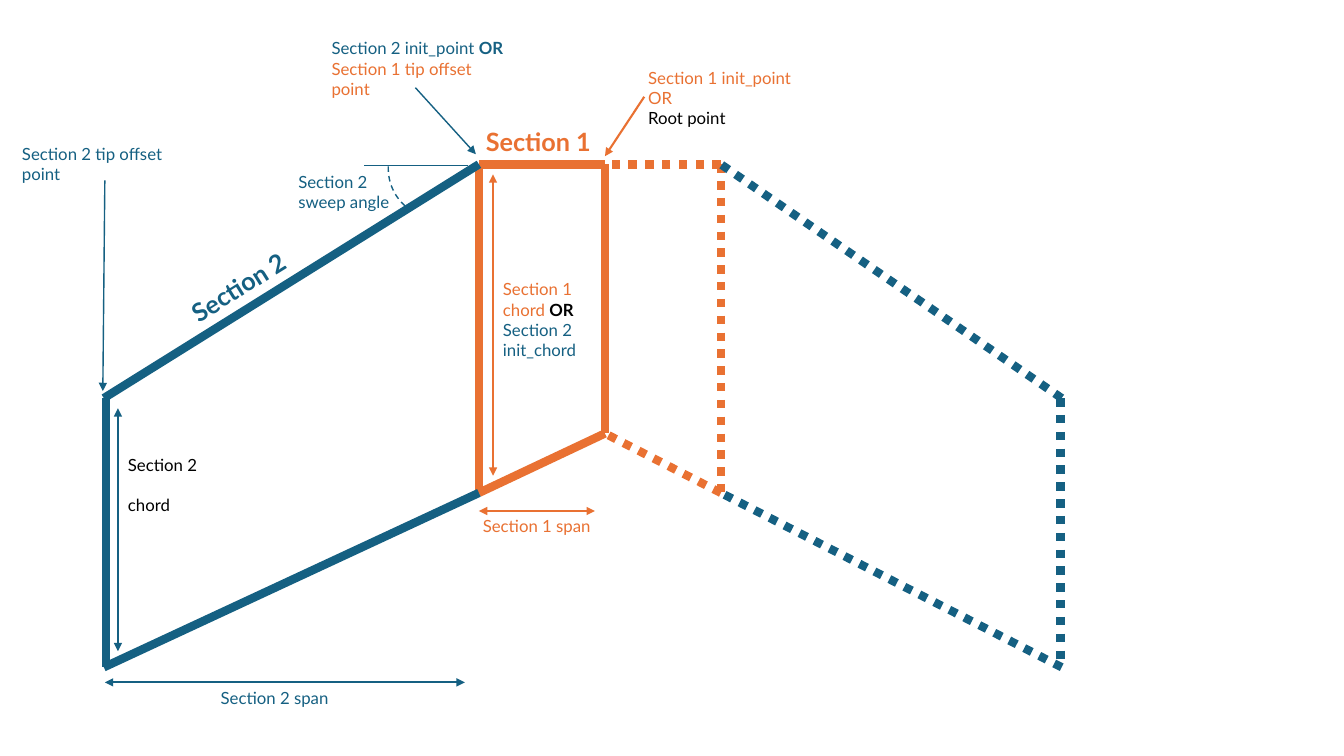
from copy import deepcopy

from lxml.etree import SubElement
from pptx import Presentation
from pptx.dml.color import RGBColor
from pptx.enum.dml import MSO_LINE
from pptx.enum.shapes import MSO_CONNECTOR, MSO_SHAPE
from pptx.oxml.ns import qn
from pptx.util import Inches, Pt

ORANGE = RGBColor(0xE9, 0x71, 0x32)
BLUE = RGBColor(0x15, 0x60, 0x82)
BLACK = RGBColor(0, 0, 0)
FONT = "Lato"

# Wing outline, in inches
ROOT_X, KINK_X, TIP_X = 6, 4.75, 1.03
LEADING_Y, ROOT_TRAILING_Y, KINK_TRAILING_Y = 1.63, 4.3, 4.89
TIP_LEADING_Y, TIP_TRAILING_Y = 3.95, 6.62


def add_line(slide, start, end, color, width, dash=None, arrows=()):
    """Draw a straight line; arrows holds any of headEnd and tailEnd."""
    points = [Inches(value) for value in (*start, *end)]
    connector = slide.shapes.add_connector(MSO_CONNECTOR.STRAIGHT, *points)
    connector.line.color.rgb = color
    connector.line.width = Pt(width)
    if dash:
        connector.line.dash_style = dash
    line_xml = connector.line._get_or_add_ln()
    for arrow in arrows:
        SubElement(line_xml, qn(f"a:{arrow}"), type="triangle")
    SubElement(connector._element.spPr, qn("a:effectLst"))


def add_dimension(slide, start, end, color):
    add_line(slide, start, end, color, 1.5, arrows=("headEnd", "tailEnd"))


def add_pointer(slide, start, end, color, width=1):
    add_line(slide, start, end, color, width, arrows=("tailEnd",))


def add_label(slide, box, paragraphs, size=12, rotation=0):
    """Write paragraphs of (text, color, bold) runs; a newline is a line break."""
    shape = slide.shapes.add_textbox(*[Inches(value) for value in box])
    shape.rotation = rotation
    text_frame = shape.text_frame
    text_frame.word_wrap = True
    for index, runs in enumerate(paragraphs):
        paragraph = text_frame.paragraphs[0] if index == 0 else text_frame.add_paragraph()
        for text, color, bold in runs:
            for number, line in enumerate(text.split("\n")):
                if number:
                    paragraph.add_line_break()
                    # The break takes the format of the run before it
                    line_break = paragraph._p[-1]
                    line_break.append(deepcopy(run.font._element))
                if not line:
                    continue
                run = paragraph.add_run()
                run.text = line
                run.font.name = FONT
                run.font.size = Pt(size)
                run.font.bold = bold
                run.font.color.rgb = color


def add_half_wing(slide, kink_x, tip_x, tip_edge_x, dash=None):
    """Draw one side of the wing: section 1 from root to kink, section 2 to tip."""
    root_leading, root_trailing = (ROOT_X, LEADING_Y), (ROOT_X, ROOT_TRAILING_Y)
    kink_leading, kink_trailing = (kink_x, LEADING_Y), (kink_x, KINK_TRAILING_Y)
    edges = [
        (root_leading, root_trailing, ORANGE),
        (kink_leading, kink_trailing, ORANGE),
        ((tip_edge_x, TIP_LEADING_Y), (tip_edge_x, TIP_TRAILING_Y), BLUE),
        (kink_leading, root_leading, ORANGE),
        (kink_trailing, root_trailing, ORANGE),
        ((tip_x, TIP_TRAILING_Y), kink_trailing, BLUE),
        ((tip_x, TIP_LEADING_Y), kink_leading, BLUE),
    ]
    for start, end, color in edges:
        add_line(slide, start, end, color, 6, dash)


def add_section_names(slide):
    add_label(slide, (4.72, 1.2, 1.27, 0.4), [[("Section 1", ORANGE, True)]], 18)
    add_label(slide, (1.74, 2.64, 1.27, 0.4), [[("Section 2", BLUE, True)]], 18, 328)


def add_spans(slide):
    for text, left, right, y, label_x, color in [
        ("Section 1 span", 4.75, 5.9, 5.07, 4.69, ORANGE),
        ("Section 2 span", 1.04, 4.61, 6.77, 2.09, BLUE),
    ]:
        add_dimension(slide, (left, y), (right, y), color)
        add_label(slide, (label_x, y, 1.27, 0.3), [[(text, color, False)]])


def add_chords(slide):
    add_dimension(slide, (4.89, 1.73), (4.89, 4.72), ORANGE)
    add_label(slide, (4.89, 2.72, 0.93, 0.91), [
        [("Section 1 \nchord ", ORANGE, False), ("OR", BLACK, True)],
        [("Section 2\ninit_chord", BLUE, False)],
    ])
    add_dimension(slide, (1.17, 4.05), (1.17, 6.46), BLUE)
    add_label(slide, (1.17, 4.46, 0.91, 0.5), [[("Section 2 \nchord", BLACK, False)]])


def add_sweep_angle(slide):
    add_line(slide, (4.64, 1.64), (3.61, 1.64), BLUE, 1)
    arc = slide.shapes.add_shape(
        MSO_SHAPE.ARC, Inches(3.85), Inches(1.17), Inches(1), Inches(1))
    arc.adjustments[0] = 185.44
    arc.adjustments[1] = 0
    arc.rotation = 182.7
    arc.shadow.inherit = False
    arc.fill.background()
    arc.line.color.rgb = BLUE
    arc.line.width = Pt(1)
    arc.line.dash_style = MSO_LINE.DASH
    add_label(slide, (2.86, 1.65, 1.11, 0.5), [[("Section 2 \nsweep angle", BLUE, False)]])


def add_point_callouts(slide):
    # Root point
    add_pointer(slide, (6.39, 0.96), (6, 1.55), ORANGE, 1.5)
    add_label(slide, (6.33, 0.62, 1.85, 0.5), [
        [("Section 1 init_point OR", ORANGE, False)],
        [("Root point", BLACK, False)],
    ])
    # Joint of the two sections
    add_pointer(slide, (4.12, 0.87), (4.72, 1.53), BLUE)
    add_label(slide, (3.19, 0.33, 1.97, 0.5), [[
        ("Section 2 init_point ", BLUE, False),
        ("OR\n", BLUE, True),
        ("Section 1 tip offset point", ORANGE, False),
    ]])
    # Wing tip
    add_pointer(slide, (1.04, 1.79), (1.02, 3.88), BLUE)
    add_label(slide, (0.12, 1.38, 1.97, 0.3), [[("Section 2 tip offset point", BLUE, False)]])


def main():
    presentation = Presentation()
    presentation.slide_width = Inches(13.33)
    presentation.slide_height = Inches(7.5)
    slide = presentation.slides.add_slide(presentation.slide_layouts[6])
    add_half_wing(slide, KINK_X, TIP_X, 1.05)
    add_section_names(slide)
    add_half_wing(slide, 7.15, 10.53, 10.52, MSO_LINE.ROUND_DOT)
    add_spans(slide)
    add_chords(slide)
    add_sweep_angle(slide)
    add_point_callouts(slide)
    presentation.save("out.pptx")


if __name__ == "__main__":
    main()
